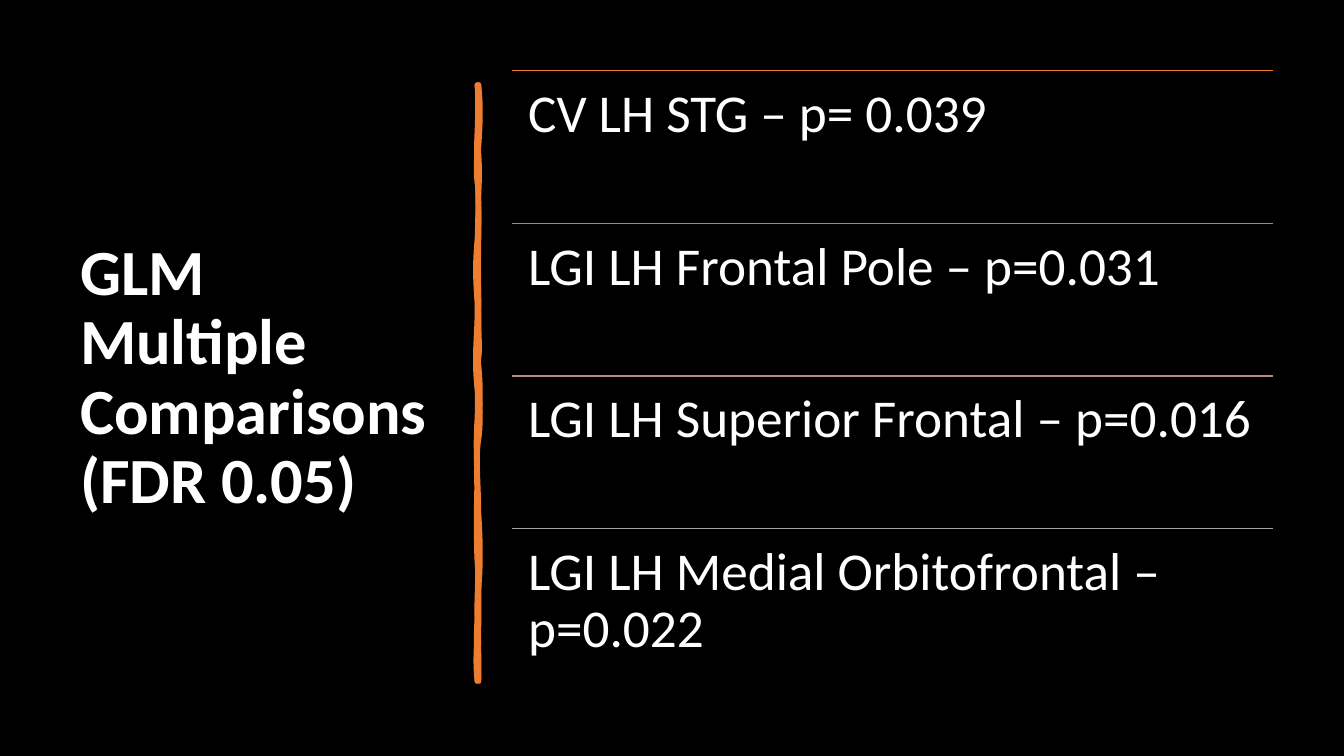
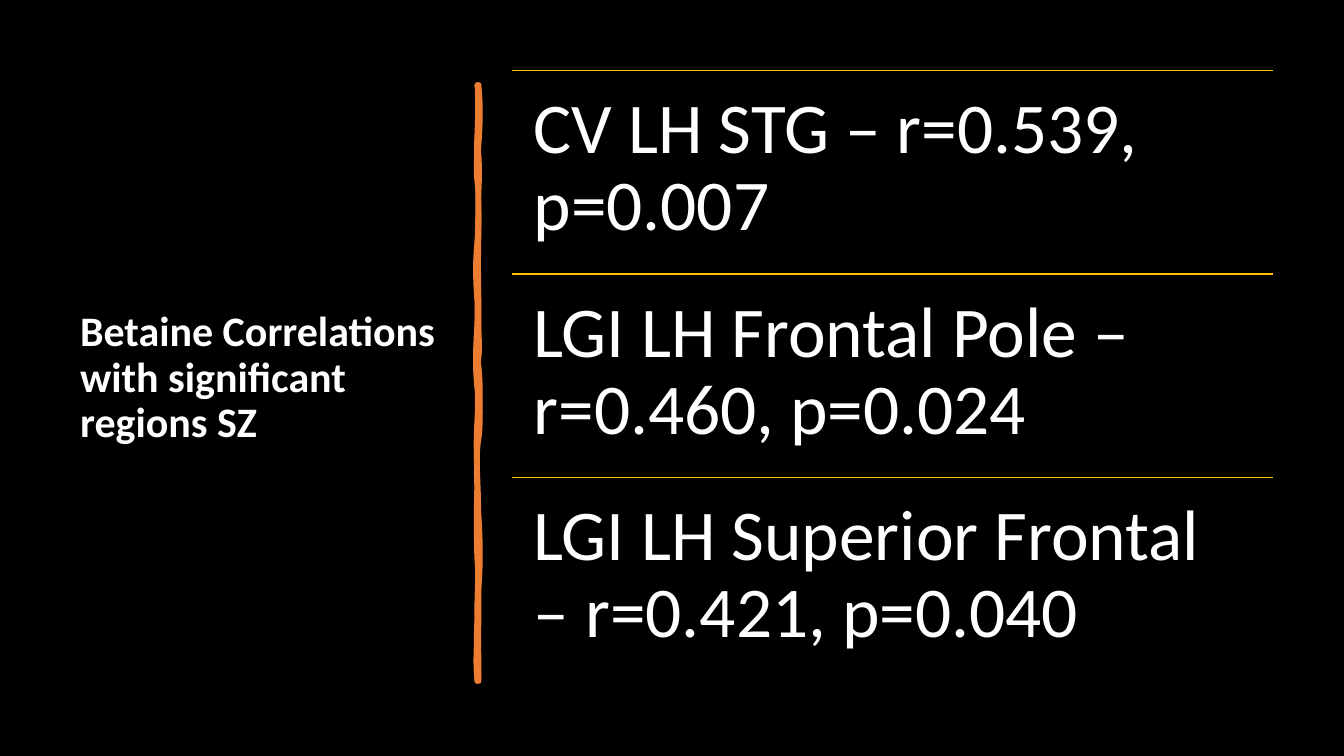
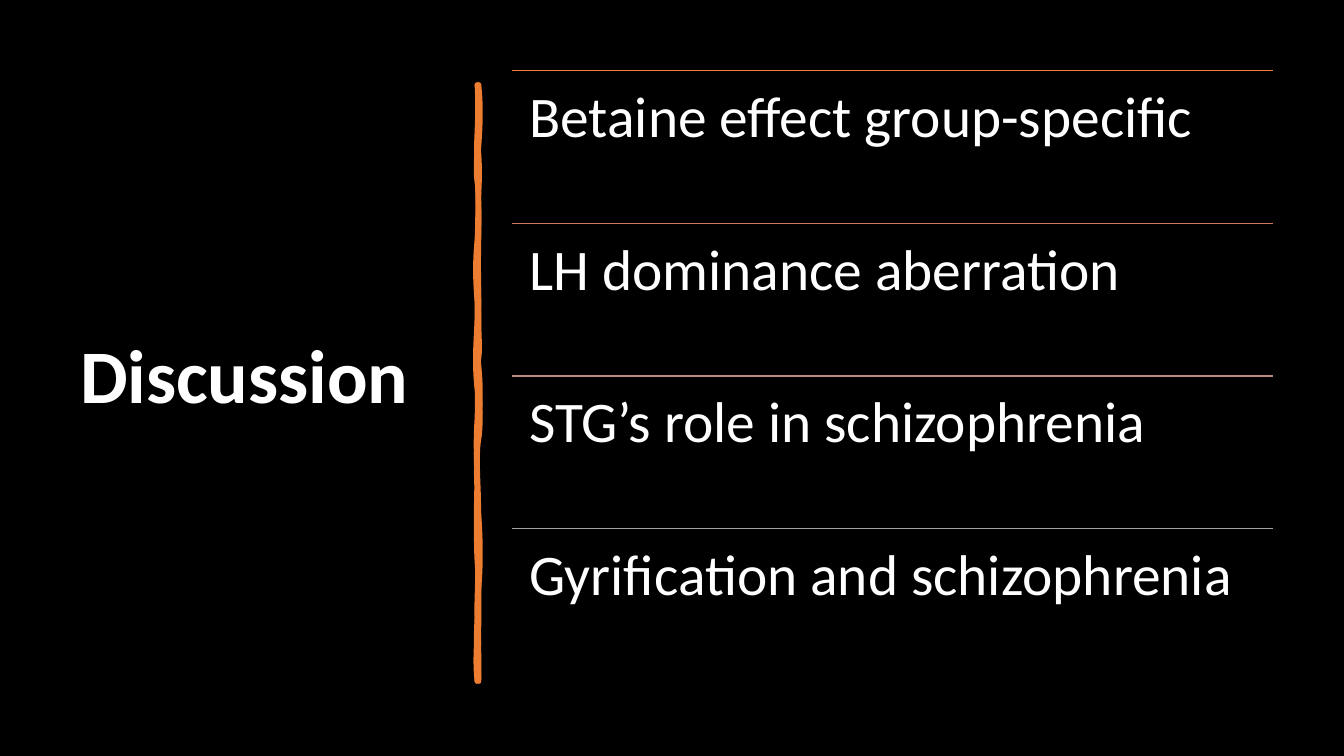
from lxml import etree
from pptx import Presentation
from pptx import util as u
from pptx.dml.color import RGBColor
from pptx.enum import shapes, text
from pptx.oxml.ns import qn

BLACK = RGBColor(0x00, 0x00, 0x00)
WHITE = RGBColor(0xFF, 0xFF, 0xFF)
ORANGE = RGBColor(0xED, 0x7D, 0x31)
COPPER = RGBColor(0xD0, 0x7A, 0x5B)
ROSE = RGBColor(0xB8, 0x88, 0x81)
GRAY = RGBColor(0xA4, 0xA4, 0xA4)
GOLD = RGBColor(0xFF, 0xC0, 0x00)
FONT = "Calibri"

deck = Presentation()
deck.slide_width = u.Inches(13.33)
deck.slide_height = u.Inches(7.5)


def share(whole, percent):
    return round(whole * percent / 100)


def write(paragraph, words, size, bold=False):
    paragraph.alignment = text.PP_ALIGN.LEFT
    paragraph.line_spacing = 0.9
    span = paragraph.add_run()
    span.text = words
    span.font.name = FONT
    span.font.size = u.Pt(size)
    span.font.bold = bold
    span.font.color.rgb = WHITE


# Shared grid: title column on the left, rows of statements on the right
TOP = share(deck.slide_height, 9.36)
TITLE_LEFT = share(deck.slide_width, 5.21)
TITLE_WIDTH = share(deck.slide_width, 28.06)
TITLE_HEIGHT = share(deck.slide_height, 81.47)
LIST_LEFT = share(deck.slide_width, 38.11)
LIST_WIDTH = share(deck.slide_width, 56.64)
LIST_HEIGHT = share(deck.slide_height, 80.73)

# Brush stroke in hundredths of an inch: curves as two controls and an end
BRUSH_START = (475, 84)
BRUSH_LEFT, BRUSH_TOP = 473, 84
BRUSH_OUTLINES = [
    [
        (477, 102, 477, 119, 475, 146), (473, 173, 476, 195, 475, 226),
        (474, 257, 475, 262, 475, 294), (474, 325, 477, 342, 475, 356),
        (473, 370, 479, 414, 475, 436), (471, 457, 472, 484, 475, 510),
        (477, 536, 477, 564, 475, 584), (473, 603, 476, 650, 475, 676),
        (474, 676, 473, 676, 473, 676), (474, 646, 471, 644, 473, 613),
        (474, 583, 474, 570, 473, 557), (472, 544, 472, 495, 473, 477),
        (473, 459, 471, 445, 473, 415), (474, 386, 472, 373, 473, 335),
        (474, 298, 472, 281, 473, 250), (474, 218, 475, 200, 473, 181),
        (470, 163, 477, 104, 473, 84), (474, 84, 474, 84, 475, 84),
    ],
    [
        (475, 115, 472, 125, 475, 152), (477, 179, 474, 197, 475, 208),
        (476, 220, 474, 255, 475, 294), (476, 333, 473, 343, 475, 362),
        (477, 381, 477, 397, 475, 430), (472, 463, 475, 474, 475, 516),
        (475, 557, 474, 553, 475, 578), (476, 603, 474, 647, 475, 676),
        (474, 675, 473, 675, 473, 676), (470, 649, 474, 632, 473, 613),
        (472, 595, 475, 569, 473, 539), (471, 510, 476, 500, 473, 471),
        (470, 442, 477, 420, 473, 386), (469, 351, 474, 325, 473, 300),
        (471, 275, 471, 259, 473, 238), (474, 216, 474, 185, 473, 164),
        (471, 143, 475, 121, 473, 84), (474, 84, 474, 84, 475, 84),
    ],
]

# Shared background and title place
deck.slide_master.background.fill.solid()
deck.slide_master.background.fill.fore_color.rgb = BLACK
layout = deck.slide_layouts.get_by_name("Title Only")
layout_title = layout.placeholders[0]
layout_title.left, layout_title.top = TITLE_LEFT, TOP
layout_title.width, layout_title.height = TITLE_WIDTH, TITLE_HEIGHT

# Title, title size, statement size, (rule colour, statement)
PAGES = [
    ("GLM Multiple Comparisons (FDR 0.05)", 46, 38, [
        (ORANGE, "CV LH STG – p= 0.039"),
        (COPPER, "LGI LH Frontal Pole – p=0.031"),
        (ROSE, "LGI LH Superior Frontal – p=0.016"),
        (GRAY, "LGI LH Medial Orbitofrontal – p=0.022"),
    ]),
    ("Betaine Correlations with significant regions SZ", 30, 51, [
        (GOLD, "CV LH STG – r=0.539, p=0.007"),
        (GOLD, "LGI LH Frontal Pole – r=0.460, p=0.024"),
        (GOLD, "LGI LH Superior Frontal – r=0.421, p=0.040"),
    ]),
    ("Discussion", 54, 41, [
        (ORANGE, "Betaine effect group-specific"),
        (COPPER, "LH dominance aberration"),
        (ROSE, "STG’s role in schizophrenia"),
        (GRAY, "Gyrification and schizophrenia"),
    ]),
]

for title, title_size, size, statements in PAGES:
    page = deck.slides.add_slide(layout)

    # Title
    frame = page.shapes.title.text_frame
    frame.auto_size = text.MSO_AUTO_SIZE.NONE
    frame.word_wrap = True
    frame.vertical_anchor = text.MSO_ANCHOR.MIDDLE
    write(frame.paragraphs[0], title, title_size, bold=True)

    # Brush stroke between the title and the statements
    builder = page.shapes.build_freeform(*BRUSH_START, scale=u.Inches(0.01))
    for number, outline in enumerate(BRUSH_OUTLINES):
        if number:
            builder.move_to(*BRUSH_START)
        builder.add_line_segments([curve[4:] for curve in outline], close=True)
    brush = builder.convert_to_shape()
    brush.shadow.inherit = False
    brush.fill.solid()
    brush.fill.fore_color.rgb = ORANGE
    brush.line.color.rgb = ORANGE
    brush.line.width = u.Pt(3.25)

    # Bend the straight segments of the stroke into curves
    segments = list(brush._element.iter(qn("a:lnTo")))
    for segment, curve in zip(segments, sum(BRUSH_OUTLINES, [])):
        segment.tag = qn("a:cubicBezTo")
        for position in (0, 2):
            control = etree.Element(qn("a:pt"))
            control.set("x", str(curve[position] - BRUSH_LEFT))
            control.set("y", str(curve[position + 1] - BRUSH_TOP))
            segment.insert(position // 2, control)

    # Statements, each under its own rule, with insets that follow the type size
    row_height = LIST_HEIGHT // len(statements)
    for row, (colour, statement) in enumerate(statements):
        top = TOP + row * row_height
        rule = page.shapes.add_connector(
            shapes.MSO_CONNECTOR.STRAIGHT, LIST_LEFT, top, LIST_LEFT + LIST_WIDTH, top)
        rule.line.color.rgb = colour
        rule.line.width = u.Pt(1)
        etree.SubElement(rule._element.spPr, qn("a:effectLst"))

        box = page.shapes.add_textbox(LIST_LEFT, top, LIST_WIDTH, row_height)
        frame = box.text_frame
        frame.word_wrap = True
        frame.margin_left = frame.margin_top = frame.margin_bottom = u.Pt(0.3 * size)
        frame.margin_right = u.Pt(0.36 * size)
        write(frame.paragraphs[0], statement, size)

deck.save("out.pptx")
